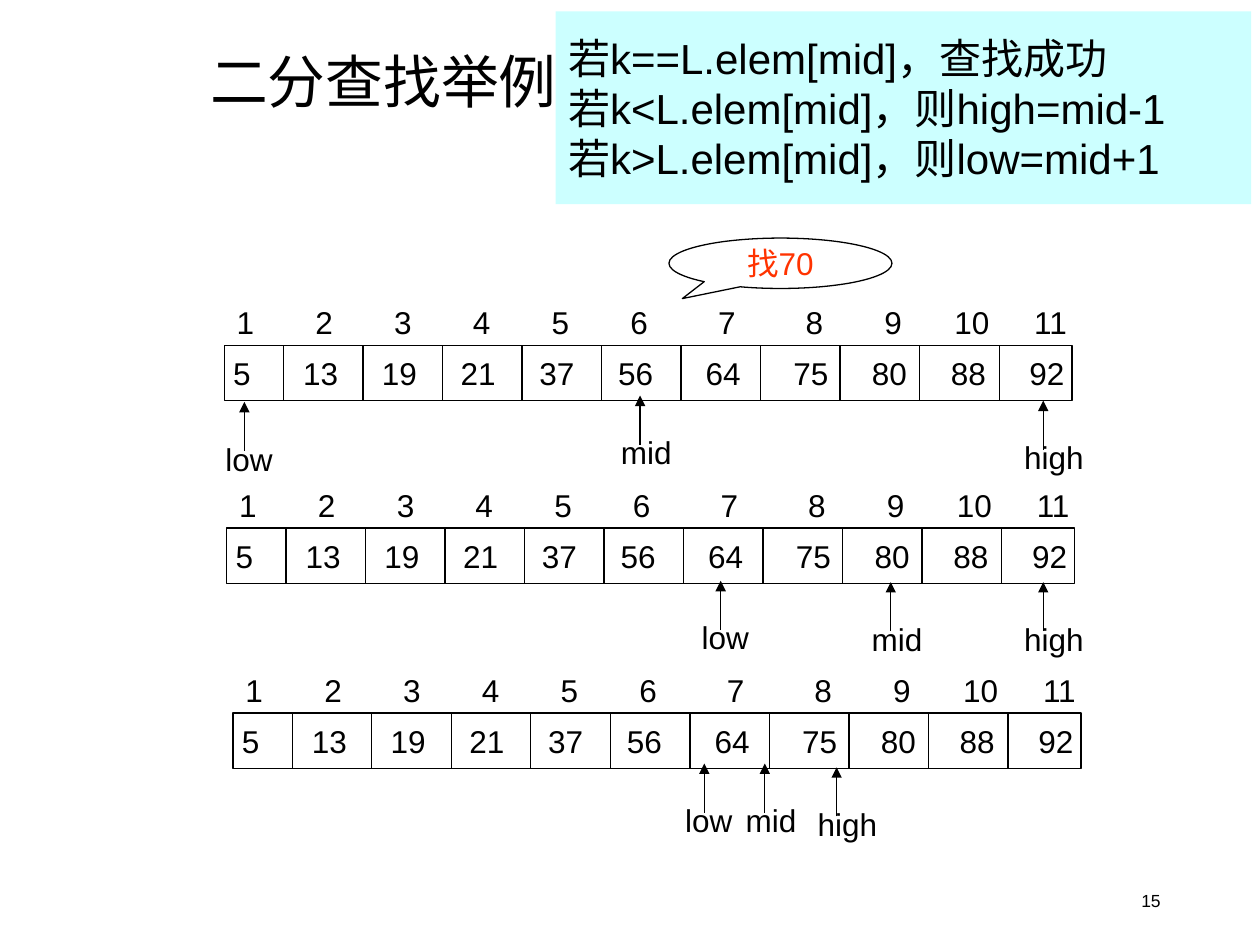
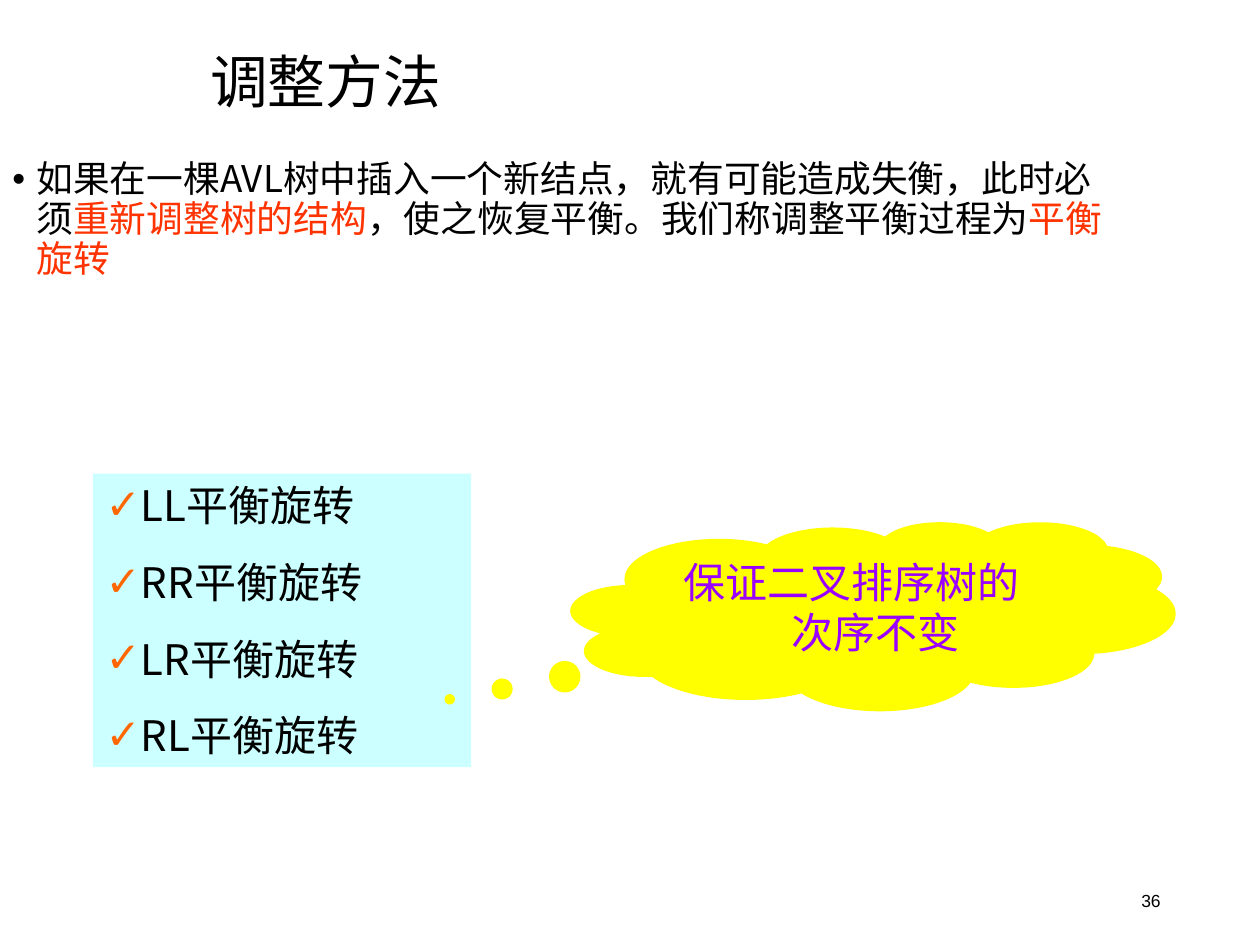
from lxml import etree
from pptx import Presentation
from pptx.dml.color import RGBColor
from pptx.enum.shapes import MSO_CONNECTOR, MSO_SHAPE
from pptx.enum.text import MSO_ANCHOR, PP_ALIGN
from pptx.oxml.ns import qn
from pptx.util import Inches, Pt

STRAIGHT = MSO_CONNECTOR.STRAIGHT
RECTANGLE = MSO_SHAPE.RECTANGLE
SPEECH = MSO_SHAPE.OVAL_CALLOUT
CLOUD = MSO_SHAPE.CLOUD_CALLOUT
TOP, MIDDLE = MSO_ANCHOR.TOP, MSO_ANCHOR.MIDDLE
LEFT, CENTER, RIGHT = PP_ALIGN.LEFT, PP_ALIGN.CENTER, PP_ALIGN.RIGHT

BLACK, RED, PURPLE, ORANGE = "000000", "FF3300", "9900FF", "FF6600"
CYAN, YELLOW = "CCFFFF", "FFFF00"
SANS, CJK = "Arial", "Noto Sans CJK SC"

VALUES = [5, 13, 19, 21, 37, 56, 64, 75, 80, 88, 92]
INDEXES = range(1, len(VALUES) + 1)
ROW_WIDTH, ROW_HEIGHT = 6.73, 0.44
FIRST_DIVIDER, LAST_DIVIDER = 0.47, 6.15
NUMBER_CENTERS = [0.07 + 0.625 * i + 0.07 * max(0, min(i - 5, 2))
                  for i in range(len(VALUES))]
LABEL_WIDTHS = {"low": 0.6, "mid": 0.62, "high": 0.7}
SEARCH_STEPS = [
    (1.78, 2.74, [("low", 1.94, 0.45), ("mid", 5.08, 0.4), ("high", 8.28, 0.44)]),
    (1.8, 4.19, [("low", 5.72, 0.42), ("mid", 7.07, 0.43), ("high", 8.28, 0.43)]),
    (1.85, 5.66, [("low", 5.59, 0.4), ("mid", 6.07, 0.4), ("high", 6.64, 0.43)]),
]


def color(value):
    return RGBColor.from_string(value)


def set_frame(shape, anchor=TOP, wrap=True, left=0.1, right=0.1):
    frame = shape.text_frame
    frame.word_wrap = wrap
    frame.vertical_anchor = anchor
    frame.margin_left, frame.margin_right = Inches(left), Inches(right)
    frame.margin_top = frame.margin_bottom = Inches(0.05)
    return frame


def add_box(page, box, **frame_options):
    shape = page.shapes.add_textbox(*map(Inches, box))
    return set_frame(shape, **frame_options)


def add_shape(page, kind, box, fill=None, line=None, adjustments=(), **frame_options):
    shape = page.shapes.add_shape(kind, *map(Inches, box))
    shape.shadow.inherit = False
    for number, value in enumerate(adjustments):
        shape.adjustments[number] = value
    if fill:
        shape.fill.solid()
        shape.fill.fore_color.rgb = color(fill)
    else:
        shape.fill.background()
    if line:
        shape.line.color.rgb = color(line)
        shape.line.width = Pt(0.75)
    else:
        shape.line.fill.background()
    return set_frame(shape, **frame_options)


def add_span(para, text, size, font=SANS, tint=BLACK):
    span = para.add_run()
    span.text = text
    span.font.size = Pt(size)
    span.font.name = font
    span.font.color.rgb = color(tint)
    east_asian = etree.SubElement(span.font._element, qn("a:ea"))
    east_asian.set("typeface", CJK)


def write_lines(frame, lines, size, font=SANS, tint=BLACK, align=LEFT):
    paras = []
    for number, text in enumerate(lines):
        para = frame.add_paragraph() if number else frame.paragraphs[0]
        para.alignment = align
        add_span(para, text, size, font, tint)
        paras.append(para)
    return paras


def set_indent(para, hanging):
    properties = para._p.get_or_add_pPr()
    properties.set("marL", str(Inches(hanging)))
    properties.set("indent", str(-Inches(hanging)))
    return properties


def add_bullet(para, symbol, tint, hanging):
    properties = set_indent(para, hanging)
    bullet_color = etree.SubElement(properties, qn("a:buClr"))
    etree.SubElement(bullet_color, qn("a:srgbClr")).set("val", tint)
    etree.SubElement(properties, qn("a:buFont")).set("typeface", SANS)
    etree.SubElement(properties, qn("a:buChar")).set("char", symbol)


def add_line(page, start, end, arrow=False):
    line = page.shapes.add_connector(STRAIGHT, *map(Inches, (*start, *end)))
    line.line.color.rgb = color(BLACK)
    line.line.width = Pt(0.75)
    etree.SubElement(line._element.spPr, qn("a:effectLst"))
    if arrow:
        tail = etree.SubElement(line.line._get_or_add_ln(), qn("a:tailEnd"))
        tail.set("type", "triangle")


def add_page(deck, title, number):
    page = deck.slides.add_slide(deck.slide_layouts[6])
    footer = add_box(page, (7.06, 6.95, 2.25, 0.4), anchor=MIDDLE)
    write_lines(footer, [number], 10, align=RIGHT)
    heading = add_box(page, (1.57, 0.35, 8.43, 0.65), anchor=MIDDLE)
    write_lines(heading, [title], 33, CJK)[0].line_spacing = 0.9
    return page


def write_numbers(frame, numbers):
    para = frame.paragraphs[0]
    para.alignment = LEFT
    tabs = etree.SubElement(para._p.get_or_add_pPr(), qn("a:tabLst"))
    for center in NUMBER_CENTERS[1:]:
        tab = etree.SubElement(tabs, qn("a:tab"))
        tab.set("pos", str(Inches(center)))
        tab.set("algn", "ctr")
    add_span(para, "\t".join(map(str, numbers)), 18)


def add_pointer(page, name, x, tip):
    add_line(page, (x, tip + 0.39), (x, tip), arrow=True)
    label = add_box(page, (x - 0.25, tip + 0.25, LABEL_WIDTHS[name], 0.4), wrap=False)
    write_lines(label, [name], 18)


def add_search_step(page, left, top, pointers):
    indexes = add_box(page, (left, top - 0.38, 6.8, 0.4), right=0)
    write_numbers(indexes, INDEXES)
    row = add_shape(page, RECTANGLE, (left, top, ROW_WIDTH, ROW_HEIGHT),
                    line=BLACK, anchor=MIDDLE, left=0.07, right=0)
    write_numbers(row, VALUES)
    dividers = len(VALUES) - 1
    gap = (LAST_DIVIDER - FIRST_DIVIDER) / (dividers - 1)
    for number in range(dividers):
        x = left + FIRST_DIVIDER + gap * number
        add_line(page, (x, top), (x, top + ROW_HEIGHT))
    for name, x, drop in pointers:
        add_pointer(page, name, x, top + drop)


def build_search_page(deck):
    page = add_page(deck, "二分查找举例", "15")
    for left, top, pointers in SEARCH_STEPS:
        add_search_step(page, left, top, pointers)
    target = add_shape(page, SPEECH, (5.31, 1.89, 1.77, 0.4), line=BLACK,
                       adjustments=(-0.44, 0.7), anchor=MIDDLE, wrap=False)
    write_lines(target, ["找70"], 18, tint=RED, align=CENTER)
    rules = add_shape(page, RECTANGLE, (4.41, 0.09, 5.52, 1.53), CYAN, anchor=MIDDLE)
    write_lines(rules, ["若k==L.elem[mid]，查找成功",
                        "若k<L.elem[mid]，则high=mid-1",
                        "若k>L.elem[mid]，则low=mid+1"], 24)


def add_explanation(page, box):
    para = add_box(page, box).paragraphs[0]
    add_bullet(para, "•", BLACK, 0.19)
    para.line_spacing = 0.9
    for text, tint in [("如果在一棵AVL树中插入一个新结点，就有可能造成失衡，此时必须", BLACK),
                       ("重新调整树的结构", RED),
                       ("，使之恢复平衡。我们称调整平衡过程为", BLACK),
                       ("平衡旋转", RED)]:
        add_span(para, text, 21, CJK, tint)


def add_rotation_list(page, box):
    frame = add_shape(page, RECTANGLE, box, CYAN)
    names = [f"{kind}平衡旋转" for kind in ("LL", "RR", "LR", "RL")]
    for number, para in enumerate(write_lines(frame, names, 24, CJK)):
        add_bullet(para, "✓", ORANGE, 0.27)
        if number:
            para.space_before = Pt(15)


def build_rotation_page(deck):
    page = add_page(deck, "调整方法", "36")
    add_explanation(page, (0, 1.23, 8.98, 2.28))
    add_rotation_list(page, (0.74, 3.76, 3, 2.33))
    cloud = add_shape(page, CLOUD, (4.53, 4.14, 4.8, 1.5), YELLOW,
                      adjustments=(-0.7, 0.44))
    promise = write_lines(cloud, ["保证二叉排序树的次序不变"], 24,
                          tint=PURPLE, align=CENTER)[0]
    set_indent(promise, 0.38)


def main():
    deck = Presentation()
    deck.slide_width, deck.slide_height = Inches(10), Inches(7.5)
    build_search_page(deck)
    build_rotation_page(deck)
    deck.save("out.pptx")


if __name__ == "__main__":
    main()
